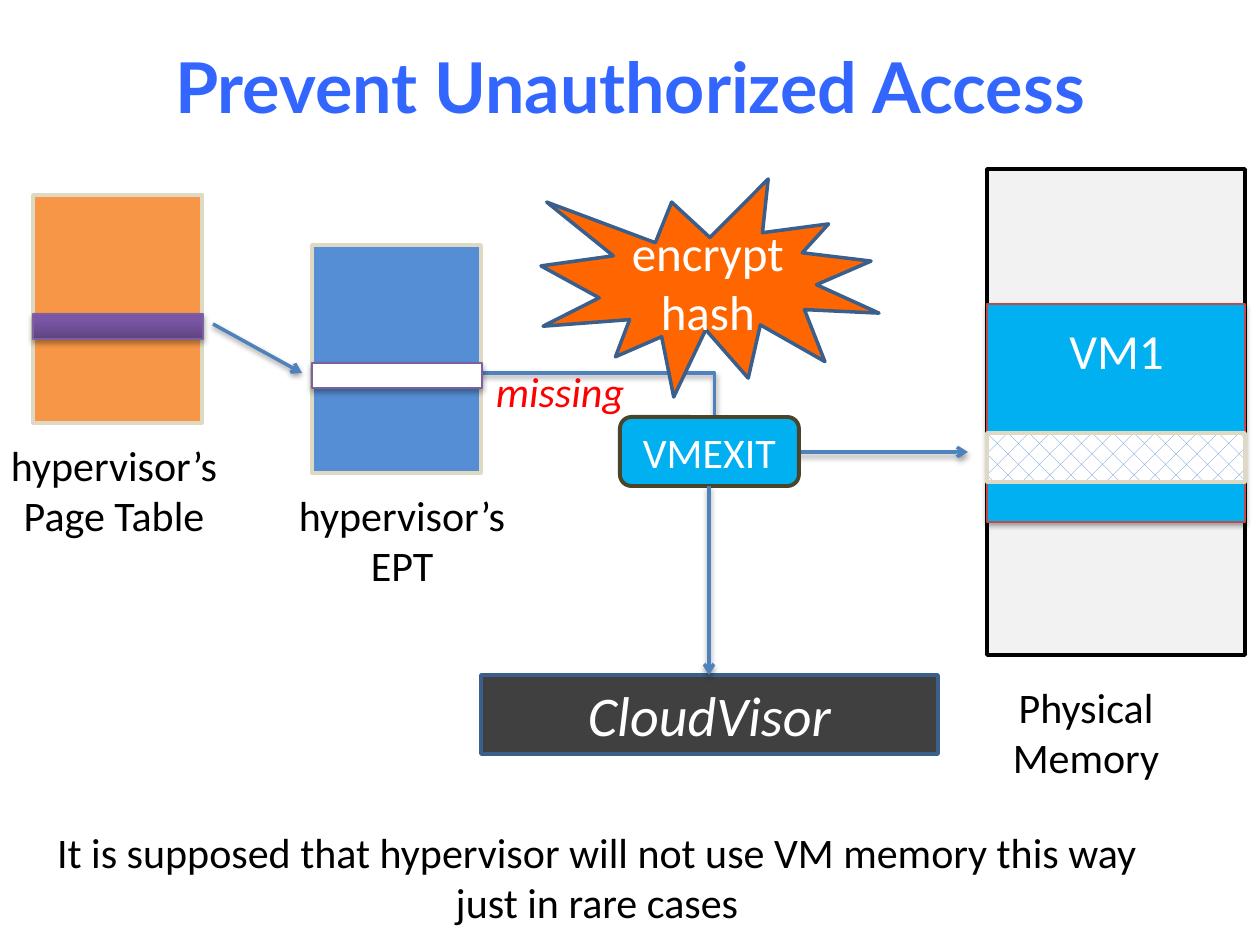
import lxml.etree
import pptx
import pptx.dml.color
import pptx.enum.dml
import pptx.enum.shapes
import pptx.enum.text
import pptx.oxml.ns
import pptx.util

PX = 914400 / 126
SHAPE = pptx.enum.shapes.MSO_SHAPE
CONNECTOR = pptx.enum.shapes.MSO_CONNECTOR
ALIGN = pptx.enum.text.PP_ALIGN
ANCHOR = pptx.enum.text.MSO_ANCHOR


def emu(*lengths):
    return [round(length * PX) for length in lengths]


def color(value):
    return pptx.dml.color.RGBColor.from_string(value)


def child(parent, tag, **attributes):
    return lxml.etree.SubElement(parent, pptx.oxml.ns.qn(tag), attributes)


class Painter:
    """Draws styled elements on the current slide, with lengths in px."""

    font = "Calibri"
    arrow_color = "4F81BD"

    def __init__(self, slide):
        self.slide = slide

    def fill_text(self, frame, paragraphs, size, ink, align=ALIGN.CENTER, font=None, bold=False, italic=False):
        frame.word_wrap = True
        for index, lines in enumerate(paragraphs):
            para = frame.paragraphs[0] if index == 0 else frame.add_paragraph()
            para.alignment = align
            for number, line in enumerate(lines.split("\n")):
                if number:
                    para.add_line_break()
                span = para.add_run()
                span.text = line
                span.font.name = font or self.font
                span.font.size = pptx.util.Pt(size)
                span.font.bold = bold
                span.font.italic = italic
                span.font.color.rgb = color(ink)

    def text(self, bounds, paragraphs, size=24, ink="000000", anchor=ANCHOR.TOP, wrap=True, **style):
        frame = self.slide.shapes.add_textbox(*emu(*bounds)).text_frame
        frame.vertical_anchor = anchor
        self.fill_text(frame, paragraphs, size, ink, **style)
        frame.word_wrap = wrap

    def effects(self, item, opacity=0, distance=20000):
        effect_list = child(item._element.spPr, "a:effectLst")
        if opacity:
            shadow = child(effect_list, "a:outerShdw", blurRad="40000", dist=str(distance),
                           dir="5400000", rotWithShape="0")
            black = child(shadow, "a:srgbClr", val="000000")
            child(black, "a:alpha", val=str(opacity * 1000))

    def box(self, bounds, fill, line, width=2, kind=SHAPE.RECTANGLE, label=None, size=24,
            italic=False, opacity=0, distance=20000):
        box = self.slide.shapes.add_shape(kind, *emu(*bounds))
        box.fill.solid()
        box.fill.fore_color.rgb = color(fill)
        box.line.color.rgb = color(line)
        box.line.width = pptx.util.Pt(width)
        self.effects(box, opacity, distance)
        if label:
            box.text_frame.vertical_anchor = ANCHOR.MIDDLE
            self.fill_text(box.text_frame, [label], size, "FFFFFF", italic=italic)
        return box

    def entry(self, left, top, fill):
        return self.box((left, top, 170, 25), fill, "7D60A0", 0.75, opacity=35, distance=23000)

    def page_table(self, left, top, fill, label, label_left):
        self.box((left, top, 169, 228), fill, "DDD9C3")
        self.text((label_left, top + 238, 258, 115), [label])

    def gradient(self, box, start, end):
        box.fill.gradient()
        box.fill.gradient_angle = 90
        for stop, value, position in zip(box.fill.gradient_stops, (start, end), (0, 0.8)):
            stop.color.rgb = color(value)
            stop.position = position

    def pattern(self, box, front, back):
        box.fill.patterned()
        box.fill.pattern = pptx.enum.dml.MSO_PATTERN.DIAGONAL_BRICK
        box.fill.fore_color.rgb = color(front)
        box.fill.back_color.rgb = color(back)

    def arrow(self, start, end, kind=CONNECTOR.STRAIGHT):
        arrow = self.slide.shapes.add_connector(kind, *emu(*start, *end))
        arrow.line.color.rgb = color(self.arrow_color)
        arrow.line.width = pptx.util.Pt(2)
        child(arrow.line._get_or_add_ln(), "a:tailEnd", type="arrow")
        self.effects(arrow, 38)


def main():
    deck = pptx.Presentation()
    deck.slide_width, deck.slide_height = emu(1260, 945)
    page = Painter(deck.slides.add_slide(deck.slide_layouts[6]))

    page.text((63, 6, 1134, 158), ["Prevent Unauthorized Access"], 40, "3366FF",
              ANCHOR.MIDDLE, font="Lato", bold=True)

    page.page_table(33, 195, "F79646", "hypervisor’s Page Table", -15)
    page.arrow((461, 373), (968, 452), CONNECTOR.ELBOW)
    page.gradient(page.entry(33, 314, "5F4480"), "5F4480", "7C57A8")

    page.box((620, 417, 179, 69), "00B0F0", "4A452A", 2.25, SHAPE.ROUNDED_RECTANGLE, "VMEXIT")
    page.box((541, 179, 338, 218), "FF6600", "3A5F8C", kind=SHAPE.EXPLOSION1,
             label="encrypt\nhash", size=28)

    page.text((987, 675, 198, 115), ["Physical Memory"])
    page.box((987, 169, 258, 486), "F2F2F2", "000000")
    page.box((987, 304, 258, 218), "00B0F0", "BF4C48", 0.75, opacity=38)

    page.box((481, 675, 457, 79), "404040", "3A5F8C", label="CloudVisor", size=32, italic=True)
    page.arrow((709, 486), (709, 675))
    page.text((38, 820, 1118, 115),
              ["It is supposed that hypervisor will not use VM memory this way", "just in rare cases"],
              wrap=False)
    page.text((1057, 314, 129, 72), ["VM1"], 28, "FFFFFF", align=ALIGN.LEFT)

    page.page_table(312, 245, "558ED5", "hypervisor’s EPT", 273)
    page.entry(312, 363, "FFFFFF")
    page.arrow((213, 324), (302, 373))
    page.text((461, 359, 198, 63), ["missing"], ink="FF0000", italic=True)
    page.pattern(page.box((987, 433, 258, 49), "FFFFFF", "DDD9C3"), "558ED5", "FFFFFF")

    deck.save("out.pptx")


if __name__ == "__main__":
    main()
